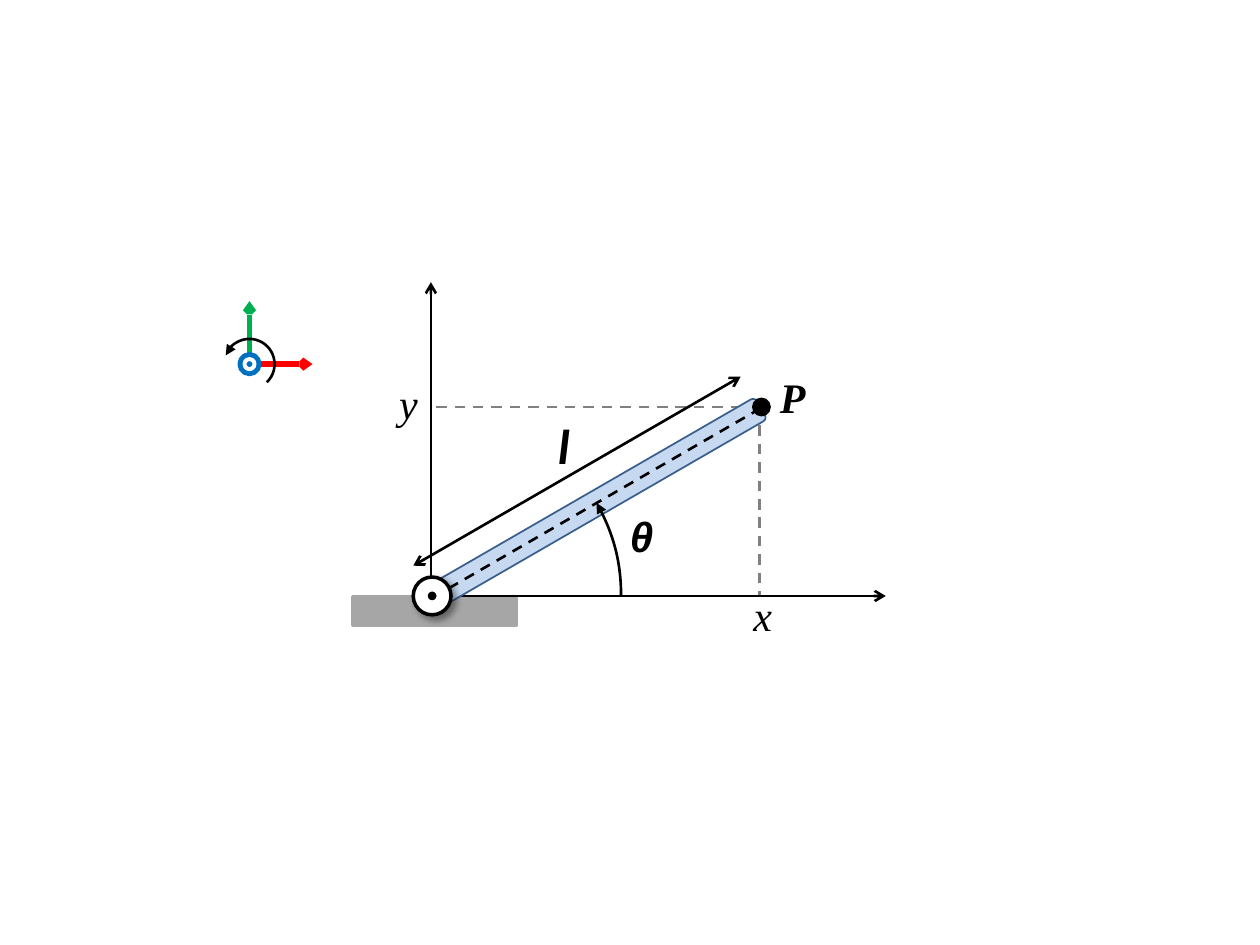
from dataclasses import dataclass
from math import cos, radians, sin

from lxml.etree import SubElement
from pptx import Presentation
from pptx.dml.color import RGBColor
from pptx.enum.dml import MSO_LINE_DASH_STYLE as Dash
from pptx.enum.shapes import MSO_CONNECTOR as Connector
from pptx.enum.shapes import MSO_SHAPE as Shape
from pptx.enum.text import MSO_AUTO_SIZE as AutoSize
from pptx.oxml.ns import qn
from pptx.util import Inches, Pt

COLUMNS, ROWS = 100, 75
CELL = Inches(10) // COLUMNS
BLACK, WHITE, GREY = "000000", "FFFFFF", "808080"
RED, GREEN, BLUE = "FF0000", "00B050", "0070C0"


@dataclass
class Region:
    shapes: object
    column: float
    row: float

    def point(self, x, y):
        return round((self.column + x) * CELL), round((self.row + y) * CELL)

    def group(self):
        return Region(self.shapes.add_group_shape().shapes, self.column, self.row)


def colour(value):
    return RGBColor.from_string(value)


def stroke(line, value, width):
    line.color.rgb = colour(value)
    line.width = Pt(width)


def arrowhead(shape, end, kind, size="med"):
    outline = shape.line._get_or_add_ln()
    SubElement(outline, qn(f"a:{end}End"), type=kind, w=size, len=size)


def add_line(region, start, end, value=BLACK, width=1.5, dashed=False, heads=(), size="med"):
    line = region.shapes.add_connector(
        Connector.STRAIGHT, *region.point(*start), *region.point(*end))
    stroke(line.line, value, width)
    if dashed:
        line.line.dash_style = Dash.DASH
    for head in heads:
        arrowhead(line, head, "arrow", size)
    SubElement(line._element.spPr, qn("a:effectLst"))
    return line


def add_solid(region, kind, centre, size, fill=None, line=None, width=1):
    x, y = centre
    across, down = size
    shape = region.shapes.add_shape(
        kind, *region.point(x - across / 2, y - down / 2),
        round(across * CELL), round(down * CELL))
    shape.shadow.inherit = False
    if fill:
        shape.fill.solid()
        shape.fill.fore_color.rgb = colour(fill)
    else:
        shape.fill.background()
    if line:
        stroke(shape.line, line, width)
    else:
        shape.line.fill.background()
    return shape


def add_disc(region, centre, diameter, fill, line=None, width=1):
    return add_solid(region, Shape.OVAL, centre, (diameter, diameter), fill, line, width)


def add_arc(region, centre, diameter, start, end):
    arc = add_solid(region, Shape.ARC, centre, (diameter, diameter), None, BLACK, 1.5)
    arc.adjustments[0] = start * 0.6
    arc.adjustments[1] = end * 0.6
    arrowhead(arc, "head", "triangle")


def add_shadow(shape):
    effects = shape._element.spPr.find(qn("a:effectLst"))
    shadow = SubElement(
        effects, qn("a:outerShdw"), blurRad=str(Pt(4)), dist=str(Pt(3)),
        dir=str(45 * 60000), algn="tl", rotWithShape="0")
    tint = SubElement(shadow, qn("a:srgbClr"), val=BLACK)
    SubElement(tint, qn("a:alpha"), val="40000")


def add_label(region, text, corner, size, font="Times New Roman", points=24, bold=False):
    across, down = size
    box = region.shapes.add_textbox(
        *region.point(*corner), round(across * CELL), round(down * CELL))
    frame = box.text_frame
    frame.word_wrap = False
    frame.auto_size = AutoSize.SHAPE_TO_FIT_TEXT
    para = frame.paragraphs[0]
    para.text = text
    para.font.name = font
    para.font.size = Pt(points)
    para.font.bold = bold
    para.font.italic = True
    para.font.color.rgb = colour(BLACK)


def draw_arm(region, length, angle):
    tip_x = length * cos(radians(angle))
    tip_y = -length * sin(radians(angle))

    add_solid(region, Shape.RECTANGLE, (0.2, 1.2), (13, 2.2), "A6A6A6", "A6A6A6", 2)
    add_line(region, (tip_x, tip_y), (tip_x, 0), GREY, dashed=True)
    add_line(region, (tip_x, tip_y), (-0.1, tip_y), GREY, dashed=True)
    add_line(region, (-0.1, -24.9), (-0.1, 0), heads=["head"])
    add_line(region, (36, 0), (0, 0), heads=["head"])

    link = add_solid(region, Shape.ROUNDED_RECTANGLE, (tip_x / 2 + 0.1, tip_y / 2 + 0.1),
                     (2, length), "C6D9F1", "3A5F8C")
    link.rotation = 90 - angle
    add_arc(region, (0, 0), length, 330.52, 0)
    add_line(region, (tip_x - 1.5, tip_y - 2.4), (-1.5, -2.4), heads=["head", "tail"])
    add_label(region, "θ", (14.7, -7.3), (3.8, 5), "Arial", bold=True)
    add_label(region, "l", (9, -14.8), (3.7, 5.7), "Calibri", 28, True)
    add_line(region, (tip_x + 0.1, tip_y + 0.1), (0.1, 0.1), dashed=True)

    joint = region.group()
    add_shadow(add_disc(joint, (0, 0), 3, WHITE, BLACK, 2))
    add_disc(joint, (0, 0), 1, BLACK, WHITE, 2)

    add_label(region, "P", (26.6, -18.3), (4.1, 5), bold=True)
    add_disc(region, (tip_x + 0.15, tip_y), 1.5, BLACK)
    add_label(region, "x", (24.5, -1), (3.5, 5))
    add_label(region, "y", (-3.6, -17.8), (3.5, 5))


def draw_axes(region, reach):
    axes = region.group()
    for end, value in (((reach, 0), RED), ((0, -reach), GREEN)):
        add_line(axes, (0, 0), end, value, 3, heads=["tail"], size="sm")
    add_disc(axes, (0, 0), 1.5, WHITE, BLUE, 3)
    add_disc(axes, (0, 0), 0.8, BLUE, WHITE, 2.25)
    add_arc(axes, (0, 0), 4, 200.1, 46.18)


def main():
    deck = Presentation()
    deck.slide_width = COLUMNS * CELL
    deck.slide_height = ROWS * CELL
    page = deck.slides.add_slide(deck.slide_layouts[6])
    draw_arm(Region(page.shapes, 34.3, 47.3), 30, 30)
    draw_axes(Region(page.shapes, 19.8, 28.9), 5)
    deck.save("out.pptx")


if __name__ == "__main__":
    main()
